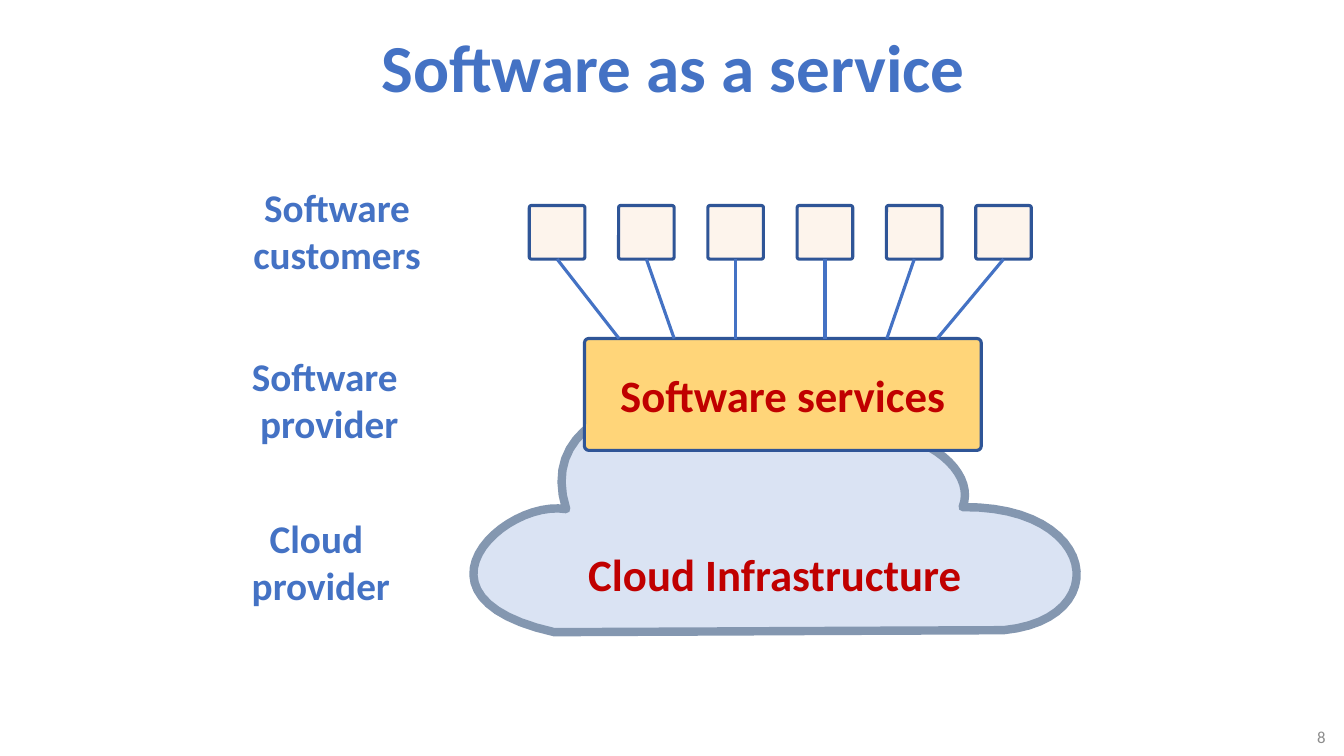
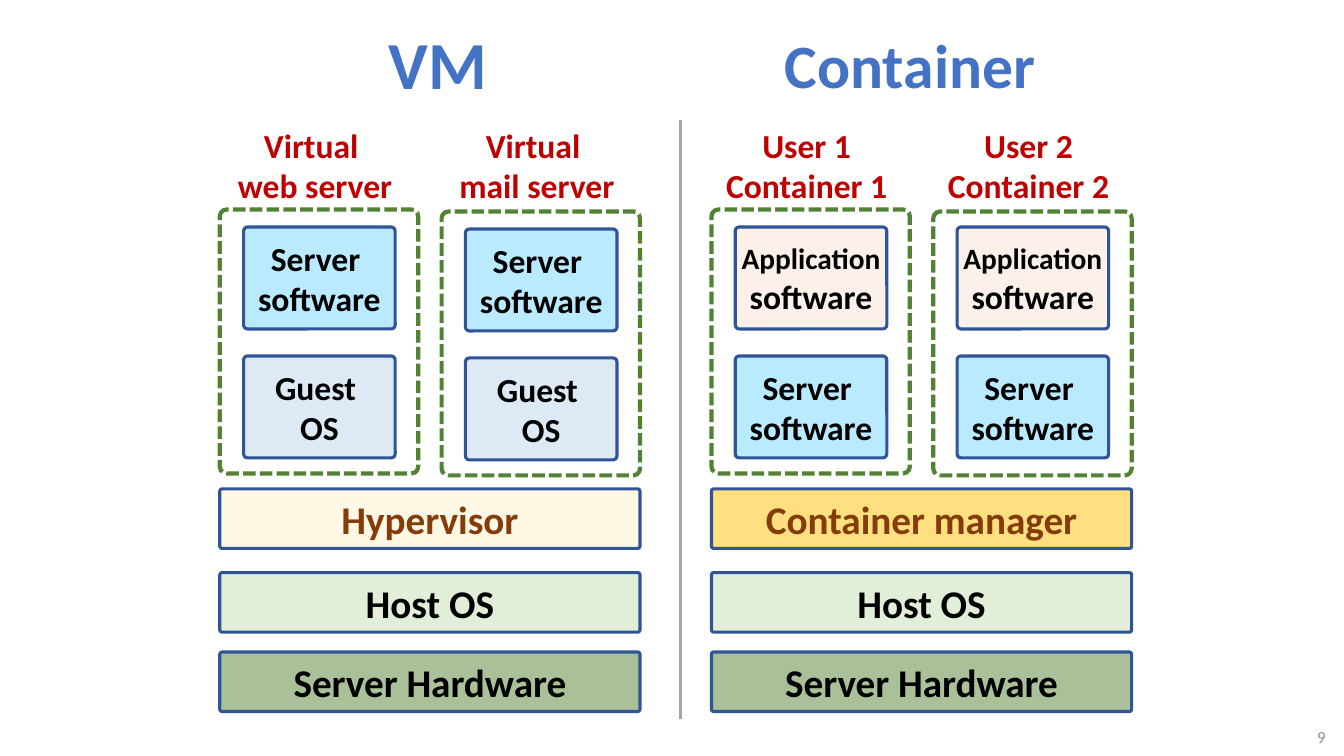
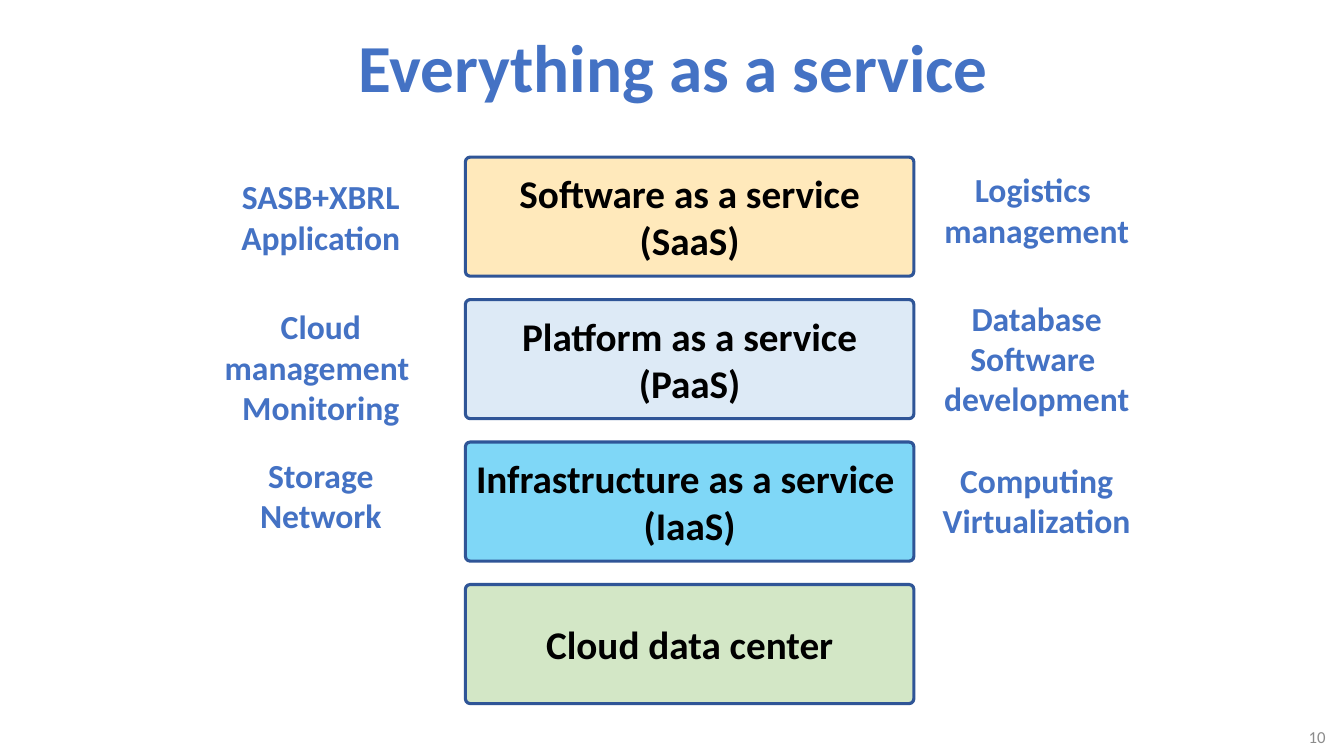
from lxml import etree
from pptx import Presentation
from pptx import util as u
from pptx.dml import color
from pptx.enum import dml, shapes, text
from pptx.oxml import ns

FONT = "Calibri"
BLUE, NAVY, RED, BROWN, BLACK = "4472C4", "2F5597", "C00000", "843C0B", "000000"
GREEN, GRAY, NUMBER_GRAY, SLATE = "548235", "A6A6A6", "8C8C8C", "8497B0"
AMBER, SKY, PALE_BLUE = "FFD579", "76D6FF", "BDD7EE"

CLOUD_START = (14.27, 12.83)
CLOUD_CURVES = [
    [(12.7, 12.57), (10.06, 15.06), (13.97, 15.93)],
    [(13.97, 15.93), (25.3, 15.88), (25.3, 15.88)],
    [(28.09, 15.6), (27.66, 12.73), (24.26, 12.78)],
    [(24.71, 11.66), (22.53, 10.13), (19.96, 11.28)],
    [(18.19, 9.32), (13.34, 9.91), (14.27, 12.83)],
]
CURVE_STEPS = 24


def rgb(value):
    return color.RGBColor.from_string(value)


def paint(shape, fill, line, width, alpha=None):
    shape.shadow.inherit = False
    if fill:
        shape.fill.solid()
        shape.fill.fore_color.rgb = rgb(fill)
        if alpha:
            fill_color = shape.fill._xPr.find(".//" + ns.qn("a:srgbClr"))
            etree.SubElement(fill_color, ns.qn("a:alpha"), val=str(alpha * 1000))
    else:
        shape.fill.background()
    shape.line.color.rgb = rgb(line)
    shape.line.width = u.Pt(width)


def write(shape, content, size, font_color, bold=True, align="CENTER", anchor="MIDDLE"):
    frame = shape.text_frame
    frame.text = content
    frame.word_wrap = True
    frame.auto_size = text.MSO_AUTO_SIZE.NONE
    frame.vertical_anchor = text.MSO_ANCHOR[anchor]
    for paragraph in frame.paragraphs:
        paragraph.alignment = text.PP_ALIGN[align]
        paragraph.font.name = FONT
        paragraph.font.size = u.Pt(size)
        paragraph.font.bold = bold
        paragraph.font.color.rgb = rgb(font_color)
    return frame


def add_label(slide, content, left, top, width, height, size, font_color=BLUE, **style):
    shape = slide.shapes.add_textbox(u.Cm(left), u.Cm(top), u.Cm(width), u.Cm(height))
    write(shape, content, size, font_color, **style)


def add_box(slide, left, top, width, height, fill=None, alpha=50, line=NAVY, weight=2.25, corner=0.039):
    shape = slide.shapes.add_shape(
        shapes.MSO_SHAPE.ROUNDED_RECTANGLE, u.Cm(left), u.Cm(top), u.Cm(width), u.Cm(height)
    )
    shape.adjustments[0] = corner
    paint(shape, fill, line, weight, alpha)
    return shape


def add_tile(slide, content, left, top, width, height, fill, size, font_color=BLACK, alpha=50):
    shape = add_box(slide, left, top, width, height, fill, alpha)
    frame = write(shape, content, size, font_color)
    frame.margin_left = frame.margin_right = frame.margin_top = frame.margin_bottom = 0
    return frame


def add_line(slide, start, end, line):
    connector = slide.shapes.add_connector(
        shapes.MSO_CONNECTOR.STRAIGHT, *(u.Cm(value) for value in (*start, *end))
    )
    connector.line.color.rgb = rgb(line)
    connector.line.width = u.Pt(2.25)
    etree.SubElement(connector._element.spPr, ns.qn("a:effectLst"))


def add_slide(presentation, title, number, box=(5.54, 0.33, 22.86, 2.64)):
    slide = presentation.slides.add_slide(presentation.slide_layouts[5])
    heading = slide.shapes.title
    heading.left, heading.top, heading.width, heading.height = (u.Cm(value) for value in box)
    write(heading, title, 48, BLUE)
    add_label(slide, str(number), 30.99, 18.24, 2.67, 0.66, 12, NUMBER_GRAY, bold=False, align="RIGHT")
    return slide


def curve_points(start, first, second, end):
    for step in range(1, CURVE_STEPS + 1):
        t = step / CURVE_STEPS
        weights = ((1 - t) ** 3, 3 * t * (1 - t) ** 2, 3 * t * t * (1 - t), t ** 3)
        points = (start, first, second, end)
        yield tuple(u.Cm(sum(w * p[axis] for w, p in zip(weights, points))) for axis in (0, 1))


def add_cloud(slide):
    outline = []
    start = CLOUD_START
    for curve in CLOUD_CURVES:
        outline.extend(curve_points(start, *curve))
        start = curve[-1]
    builder = slide.shapes.build_freeform(*(u.Cm(value) for value in CLOUD_START))
    builder.add_line_segments(outline, close=True)
    cloud = builder.convert_to_shape()
    paint(cloud, "DAE3F3", SLATE, 6)
    frame = write(cloud, "Cloud Infrastructure", 32, RED)
    frame.margin_top = u.Cm(2.97)


def build_software_slide(presentation):
    slide = add_slide(presentation, "Software as a service", 8)
    add_cloud(slide)
    for content, left, top, width in (
        ("Software customers", 4.47, 4.5, 8.05),
        ("Software \vprovider", 4.7, 8.76, 7.19),
        ("Cloud \vprovider", 4.39, 12.83, 7.39),
    ):
        add_label(slide, content, left, top, width, 2.64, 28, anchor="TOP")
    add_tile(slide, "Software services", 14.73, 8.53, 10, 2.82, AMBER, 32, RED, alpha=None)
    for index, service_x in enumerate((15.6, 16.99, 18.54, 20.79, 22.35, 23.62)):
        left = 13.34 + 2.25 * index
        add_box(slide, left, 5.18, 1.4, 1.35, "FDEADA")
        add_line(slide, (left + 0.7, 6.53), (service_x, 8.53), BLUE)


def add_stack(slide, left, labels, tiles, manager, second_drop):
    for index, label in enumerate(labels):
        group_left = left + 5.59 * index
        add_label(slide, label, group_left - 0.1, 3.02, 5, 2.31, 24, RED, anchor="TOP")
        for row, (content, fill, first_size) in enumerate(tiles):
            top = 5.72 + 3.25 * row + second_drop * index
            frame = add_tile(slide, content, group_left + 0.6, top, 3.82, 2.57, fill, 24)
            frame.paragraphs[0].runs[0].font.size = u.Pt(first_size)
        group = add_box(slide, group_left, 5.28 + 0.05 * index, 5, 6.65, line=GREEN, weight=3, corner=0.034)
        group.line.dash_style = dml.MSO_LINE.SQUARE_DOT
    for (content, fill, font_color), top in zip(
        (manager, ("Host OS", "C5E0B4", BLACK), ("Server Hardware", GREEN, BLACK)),
        (12.32, 14.43, 16.43),
    ):
        add_tile(slide, content, left, top, 10.59, 1.5, fill, 28, font_color)


def build_comparison_slide(presentation):
    slide = add_slide(presentation, "VM", 9, (5.54, 0, 11, 3.18))
    add_label(slide, "Container", 17.83, 0.28, 10.21, 2.64, 44)
    add_line(slide, (17.15, 3.02), (17.15, 18.11), GRAY)
    server = ("Server \vsoftware", SKY, 24)
    add_stack(
        slide, 5.54,
        ("Virtual \vweb server", "Virtual \vmail server"),
        (server, ("Guest \vOS", PALE_BLUE, 24)),
        ("Hypervisor", "FFF2CC", BROWN), 0.05,
    )
    add_stack(
        slide, 17.93,
        ("User 1\vContainer 1", "User 2\vContainer 2"),
        (("Application\vsoftware", "FBE5D6", 21), server),
        ("Container manager", "FFC000", BROWN), 0,
    )


def build_everything_slide(presentation):
    slide = add_slide(presentation, "Everything as a service", 10)
    for index, (content, fill) in enumerate((
        ("Software as a service\v(SaaS)", AMBER),
        ("Platform as a service\v(PaaS)", PALE_BLUE),
        ("Infrastructure as a service \v(IaaS)", "00B0F0"),
        ("Cloud data center", "A9D18E"),
    )):
        add_tile(slide, content, 11.73, 3.96 + 3.59 * index, 11.3, 3, fill, 28)
    for left, examples in (
        (5, (
            ("SASB+XBRL\nApplication", 4.32, 2.31),
            ("Cloud management \vMonitoring", 7.59, 3.33),
            ("Storage Network", 11.33, 2.31),
        )),
        (23.04, (
            ("Logistics \vmanagement", 4.14, 2.31),
            ("Database\nSoftware \vdevelopment", 7.37, 3.33),
            ("Computing Virtualization", 11.46, 2.31),
        )),
    ):
        for content, top, height in examples:
            add_label(slide, content, left, top, 6.17, height, 24, anchor="TOP")


def main():
    presentation = Presentation()
    presentation.slide_width = u.Cm(33.87)
    presentation.slide_height = u.Cm(19.05)
    build_software_slide(presentation)
    build_comparison_slide(presentation)
    build_everything_slide(presentation)
    presentation.save("out.pptx")


if __name__ == "__main__":
    main()
